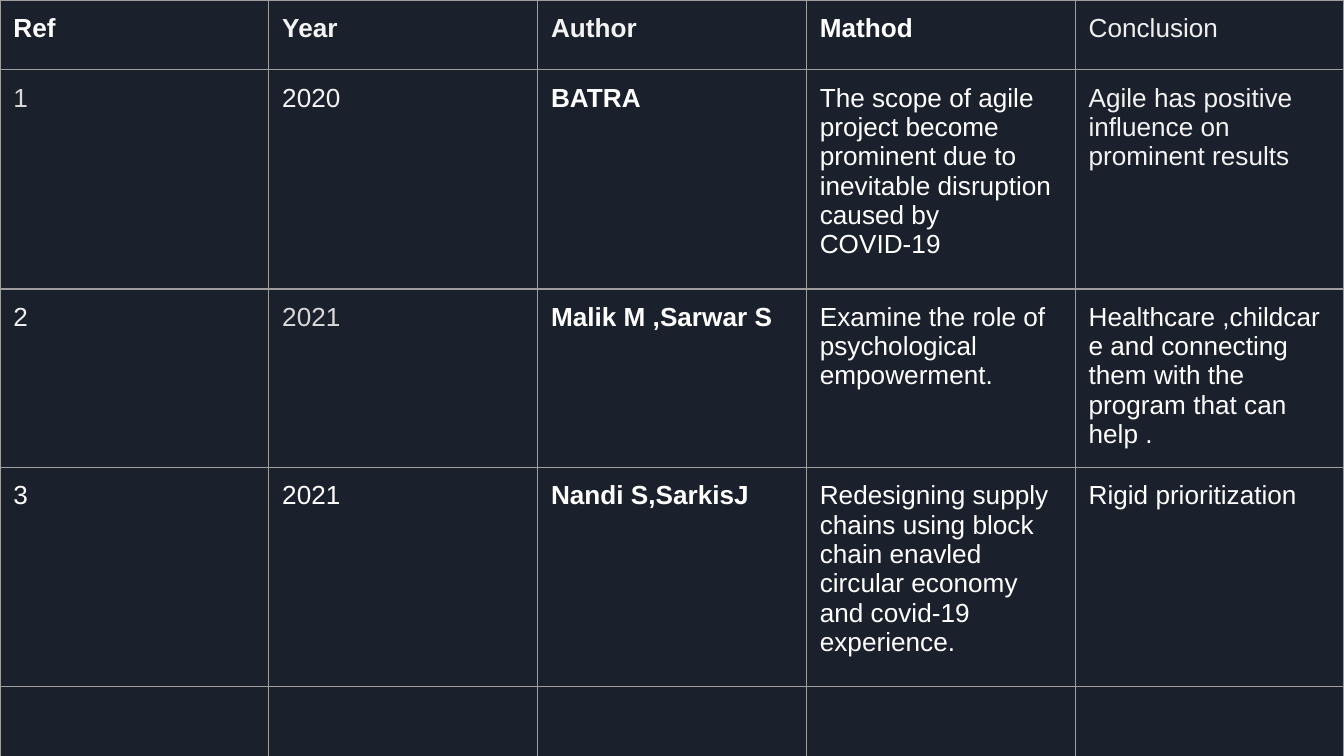
from lxml import etree
from pptx import Presentation
from pptx import util as u
from pptx.dml.color import RGBColor
from pptx.oxml.ns import qn

WIDTH = 10
HEIGHT = WIDTH * 9 / 16
FONT, SIZE = "Arial", 14
MARGIN = 0.1
ROW_HEIGHTS = [0.52, 1.63, 1.33, 1.63, 0.52]
AUTHOR_COL = 2
COLORS = {
    "background": "1B212C",
    "border": "9E9E9E",
    "white": "FFFFFF",
    "light": "F3F3F3",
    "soft": "EFEFEF",
    "dim": "D9D9D9",
}

# Each cell: wording and colour name
ROWS = [
    [("Ref", "white"), ("Year", "light"), ("Author", "light"),
     ("Mathod", "white"), ("Conclusion", "soft")],
    [("1", "dim"), ("2020", "light"), ("BATRA", "white"),
     ("The scope of agile project become prominent due to inevitable "
      "disruption caused by COVID-19", "white"),
     ("Agile has positive influence on prominent results", "light")],
    [("2", "soft"), ("2021", "dim"), ("Malik M ,Sarwar S", "white"),
     ("Examine the role of psychological empowerment.", "white"),
     ("Healthcare ,childcare and connecting them with the program "
      "that can help .", "white")],
    [("3", "white"), ("2021", "white"), ("Nandi S,SarkisJ", "white"),
     ("Redesigning supply chains using block chain enavled circular "
      "economy and covid-19 experience.", "white"),
     ("Rigid prioritization", "white")],
    [("", "white")] * 5,
]


def rgb(name):
    return RGBColor.from_string(COLORS[name])


def set_borders(cell, color, width):
    """Draw the four sides; borders must come before the cell's fill."""
    tc_pr = cell._tc.get_or_add_tcPr()
    for i, side in enumerate(("a:lnL", "a:lnR", "a:lnT", "a:lnB")):
        ln = etree.Element(qn(side), w=str(u.Pt(width)))
        fill = etree.SubElement(ln, qn("a:solidFill"))
        etree.SubElement(fill, qn("a:srgbClr"), val=COLORS[color])
        tc_pr.insert(i, ln)


def fill_cell(cell, wording, color, bold):
    cell.margin_left = cell.margin_right = u.Inches(MARGIN)
    cell.margin_top = cell.margin_bottom = u.Inches(MARGIN)
    cell.fill.background()
    set_borders(cell, "border", 0.75)
    p = cell.text_frame.paragraphs[0]
    if wording:
        p.text = wording
    font = p.font
    font.name, font.size, font.bold = FONT, u.Pt(SIZE), bold
    font.color.rgb = rgb(color)


def add_review_table(s):
    n_cols = len(ROWS[0])
    frame = s.shapes.add_table(len(ROWS), n_cols, 0, 0, u.Inches(WIDTH),
                               u.Inches(sum(ROW_HEIGHTS)))
    table = frame.table
    table.first_row = table.horz_banding = False
    for col in table.columns:
        col.width = u.Inches(WIDTH / n_cols)
    for r, (height, row) in enumerate(zip(ROW_HEIGHTS, ROWS)):
        table.rows[r].height = u.Inches(height)
        for c, (wording, color) in enumerate(row):
            # Bold: author names and all headings but the last
            bold = c == AUTHOR_COL or (r == 0 and c < n_cols - 1)
            fill_cell(table.cell(r, c), wording, color, bold)


def main():
    prs = Presentation()
    prs.slide_width, prs.slide_height = u.Inches(WIDTH), u.Inches(HEIGHT)
    s = prs.slides.add_slide(prs.slide_layouts[6])

    # Background
    s.background.fill.solid()
    s.background.fill.fore_color.rgb = rgb("background")

    # Literature review table
    add_review_table(s)
    prs.save("out.pptx")


if __name__ == "__main__":
    main()
